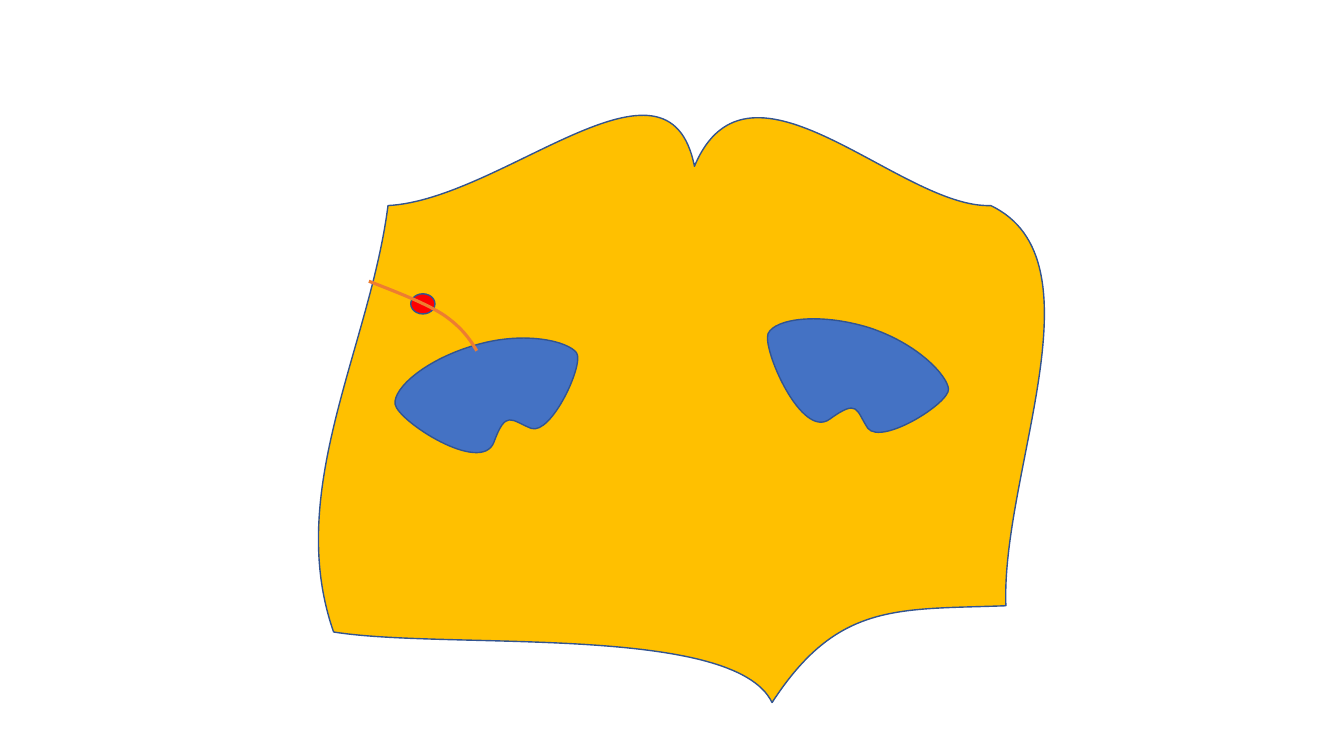
import dataclasses
import math
import typing

import lxml.etree
import pptx
import pptx.dml.color
import pptx.enum.shapes
import pptx.oxml.ns
import pptx.util

COLORS = {"mask": "FFC000", "eye": "4472C4", "dot": "FF0000",
          "outline": "325491", "strand": "ED7D31"}
CELL = pptx.util.Inches(0.01)  # the page is a grid of 1333 columns by 750 rows
COLUMNS, ROWS = 1333.33, 750

Point = typing.Tuple[float, float]
Curve = typing.Tuple[Point, Point, Point]  # two handles and an end


class Box(typing.NamedTuple):
    """A frame in columns and rows."""
    left: float
    top: float
    width: float
    height: float


@dataclasses.dataclass(frozen=True)
class Outline:
    """A chain of cubic curves as seen on the page, and its unturned frame."""
    box: Box
    start: Point
    curves: typing.Tuple[Curve, ...]
    line: str = "outline"
    weight: float = 1
    fill: typing.Optional[str] = None  # an outline without fill stays open
    turn: float = 0


MASK = Outline(Box(316, 114, 720, 583), (385, 204), (
    ((499, 198), (663, 34), (689, 165)),
    ((743, 36), (893, 207), (983, 204)),
    ((1096, 258), (993, 469), (998, 601)),
    ((890, 605), (831, 597), (766, 697)),
    ((728, 618), (443, 645), (331, 627)),
    ((282, 487), (367, 345), (385, 204))), fill="mask")
RIGHT_EYE = Outline(Box(753, 323, 187, 104), (762, 331), (
    ((769, 316), (813, 310), (862, 325)),
    ((911, 341), (940, 373), (941, 386)),
    ((942, 400), (875, 442), (861, 425)),
    ((849, 407), (852, 395), (823, 416)),
    ((795, 436), (756, 346), (762, 331))), fill="eye", turn=17.1)
LEFT_EYE = Outline(Box(393, 340, 187, 104), (392, 401), (
    ((390, 385), (423, 356), (473, 342)),
    ((522, 328), (564, 339), (572, 350)),
    ((580, 361), (547, 432), (527, 425)),
    ((507, 417), (502, 406), (490, 439)),
    ((477, 471), (395, 418), (392, 401))), fill="eye", turn=343.9)
STRAND = Outline(Box(366, 279, 107, 70), (366, 279), (
    ((394, 290), (423, 301), (441, 313)),
    ((458, 325), (466, 336), (473, 348))), line="strand", weight=2.25)
DOT = Box(407.5, 291.5, 24, 20)


def cells(count: float) -> int:
    """Turn a count of grid cells into a length."""
    return round(count * CELL)


def color(name: str) -> pptx.dml.color.RGBColor:
    """Look up a named colour."""
    return pptx.dml.color.RGBColor.from_string(COLORS[name])


def unturn(point: Point, box: Box, turn: float) -> Point:
    """Turn a point back about the frame's centre, measured from its corner."""
    angle = math.radians(turn)
    x = point[0] - box.left - box.width / 2
    y = point[1] - box.top - box.height / 2
    return (x * math.cos(angle) + y * math.sin(angle) + box.width / 2,
            y * math.cos(angle) - x * math.sin(angle) + box.height / 2)


def add_step(track, tag: str, points: typing.Sequence[Point]) -> None:
    """Append one drawing step with its points."""
    step = lxml.etree.SubElement(track, pptx.oxml.ns.qn(tag))
    for x, y in points:
        lxml.etree.SubElement(step, pptx.oxml.ns.qn("a:pt"),
                              x=str(cells(x)), y=str(cells(y)))


def paint(shape, fill: typing.Optional[str], line: str, weight: float) -> None:
    """Set fill and line, and drop the shadow."""
    shape.shadow.inherit = False
    if fill:
        shape.fill.solid()
        shape.fill.fore_color.rgb = color(fill)
    else:
        shape.fill.background()
    shape.line.color.rgb = color(line)
    shape.line.width = pptx.util.Pt(weight)


def draw_outline(page, outline: Outline) -> None:
    """Frame a freeform, then give it cubic curves."""
    box = outline.box
    builder = page.shapes.build_freeform(cells(box.left), cells(box.top))
    builder.add_line_segments(
        [(cells(box.left + box.width), cells(box.top + box.height))], close=False)
    shape = builder.convert_to_shape()
    track = shape.element.find(".//" + pptx.oxml.ns.qn("a:path"))
    for step in list(track):
        track.remove(step)
    add_step(track, "a:moveTo", [unturn(outline.start, box, outline.turn)])
    for curve in outline.curves:
        add_step(track, "a:cubicBezTo",
                 [unturn(point, box, outline.turn) for point in curve])
    if outline.fill:
        add_step(track, "a:close", [])
    shape.rotation = outline.turn
    paint(shape, outline.fill, outline.line, outline.weight)


def draw_dot(page, box: Box) -> None:
    """Draw the red dot under the strand."""
    dot = page.shapes.add_shape(pptx.enum.shapes.MSO_SHAPE.OVAL, *map(cells, box))
    paint(dot, "dot", "outline", 1)


deck = pptx.Presentation()
deck.slide_width, deck.slide_height = cells(COLUMNS), cells(ROWS)
page = deck.slides.add_slide(deck.slide_layouts[6])
for part in (MASK, RIGHT_EYE, LEFT_EYE):
    draw_outline(page, part)
draw_dot(page, DOT)
draw_outline(page, STRAND)
deck.save("out.pptx")
